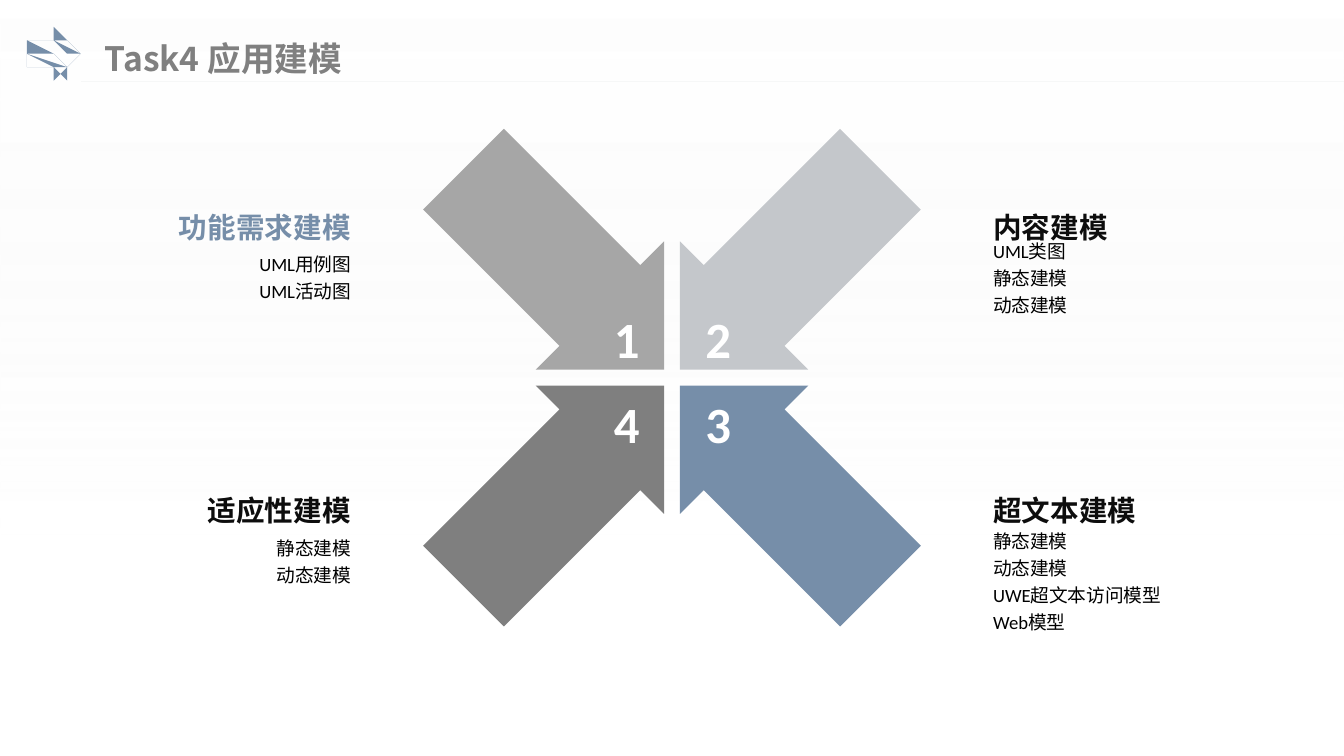
import dataclasses

import lxml.etree
import pptx
import pptx.dml.color
import pptx.enum.shapes
import pptx.enum.text
import pptx.oxml.ns
import pptx.util

COLUMNS = 100
ROWS = 56.25
CELL = pptx.util.Inches(0.1)
COLORS = {
    "blue": "768EA9",
    "silver": "C4C7CB",
    "gray": "A6A6A6",
    "dark": "7F7F7F",
    "title": "808080",
    "ink": "0D0D0D",
    "black": "000000",
    "white": "FFFFFF",
    "mist": "F2F2F2",
}
LEFT = pptx.enum.text.PP_ALIGN.LEFT
RIGHT = pptx.enum.text.PP_ALIGN.RIGHT
TOP = pptx.enum.text.MSO_ANCHOR.TOP
MIDDLE = pptx.enum.text.MSO_ANCHOR.MIDDLE
ASIAN_FONT = "Noto Sans CJK SC"

ICON_CONTOURS = [
    [(2.3, 2.9), (4, 3.2), (4.05, 2.2), (6.2, 4.3), (4.1, 6.1), (4, 5.15), (2.3, 5.4)],
    [(2.5, 3), (3.6, 3.3), (5.7, 4.5), (5.4, 4.8), (3.8, 3.8)],
    [(2.4, 3.55), (4.2, 4.5), (5.1, 5), (5, 5.2)],
    [(4.1, 2.65), (4.9, 3), (5.6, 3.6), (4.1, 2.9)],
    [(2.4, 4.4), (3.6, 5), (3.1, 5.1), (2.4, 4.7)],
    [(4.1, 5.3), (4.5, 5.5), (4.3, 5.8), (4.1, 5.7)],
    [(2.4, 3.9), (4.1, 5), (4.8, 5.3), (4.6, 5.5), (3.8, 4.9), (2.4, 4)],
    [(5.3, 3.9), (6.1, 4.2), (5.9, 4.4)],
    [(4.1, 3.1), (5.7, 3.9), (4.8, 3.5)],
]


@dataclasses.dataclass
class Box:
    column: float
    row: float
    width: float
    height: float


@dataclasses.dataclass
class Style:
    size: float
    color: str
    bold: bool = False
    font: str = "Calibri"
    align: pptx.enum.text.PP_ALIGN = LEFT
    anchor: pptx.enum.text.MSO_ANCHOR = TOP
    wrap: bool = True
    spacing: float = 1.0
    inset_x: float = 0.8
    inset_y: float = 0


@dataclasses.dataclass
class Model:
    number: str
    heading: str
    details: list[str]
    side: int
    level: int
    rotation: int
    arrow_color: str
    heading_color: str
    details_row: float


MODELS = [
    Model("1", "功能需求建模", ["UML用例图", "UML活动图"], -1, -1, 315, "gray", "blue", 18.1),
    Model("2", "内容建模", ["UML类图", "静态建模", "动态建模"], 1, -1, 45, "silver", "ink", 18.1),
    Model("4", "适应性建模", ["静态建模", "动态建模"], -1, 1, 225, "dark", "ink", 39.2),
    Model("3", "超文本建模", ["静态建模", "动态建模", "UWE超文本访问模型", "Web模型"],
          1, 1, 135, "blue", "ink", 40.7),
]


def grid(count: float) -> pptx.util.Emu:
    return pptx.util.Emu(round(count * CELL))


def place(box: Box) -> tuple:
    return tuple(grid(value) for value in dataclasses.astuple(box))


def rgb(name: str) -> pptx.dml.color.RGBColor:
    return pptx.dml.color.RGBColor.from_string(COLORS[name])


def paint(shape, color: str) -> None:
    shape.shadow.inherit = False
    shape.fill.solid()
    shape.fill.fore_color.rgb = rgb(color)
    shape.line.fill.background()


def add_text(slide, box: Box, lines: list[str], style: Style) -> None:
    frame = slide.shapes.add_textbox(*place(box)).text_frame
    frame.word_wrap = style.wrap
    frame.vertical_anchor = style.anchor
    frame.margin_left = frame.margin_right = grid(style.inset_x)
    frame.margin_top = frame.margin_bottom = grid(style.inset_y)
    frame.text = "\n".join(lines)
    for paragraph in frame.paragraphs:
        paragraph.alignment = style.align
        paragraph.line_spacing = style.spacing
        paragraph.font.size = pptx.util.Pt(style.size)
        paragraph.font.bold = style.bold
        paragraph.font.name = style.font
        paragraph.font.color.rgb = rgb(style.color)
        properties = paragraph.font._element
        asian = lxml.etree.SubElement(properties, pptx.oxml.ns.qn("a:ea"))
        asian.set("typeface", ASIAN_FONT)


def add_backdrop(slide) -> None:
    shape = slide.shapes.add_shape(
        pptx.enum.shapes.MSO_SHAPE.RECTANGLE, *place(Box(0, 0, COLUMNS, ROWS)))
    paint(shape, "white")
    shape.fill.gradient()
    shape.fill.gradient_angle = 270
    stops = [("white", 0, 55000), ("mist", 0.71, 0)]
    for stop, (color, position, opacity) in zip(shape.fill.gradient_stops, stops):
        stop.color.rgb = rgb(color)
        stop.position = position
        alpha = lxml.etree.SubElement(stop._gs[0], pptx.oxml.ns.qn("a:alpha"))
        alpha.set("val", str(opacity))


def add_outline(slide, contours: list, color: str) -> None:
    first, *others = contours
    builder = slide.shapes.build_freeform(*first[0], scale=float(CELL))
    builder.add_line_segments(first[1:], close=True)
    for contour in others:
        builder.move_to(*contour[0])
        builder.add_line_segments(contour[1:], close=True)
    paint(builder.convert_to_shape(), color)


def add_model(slide, model: Model) -> None:
    column = 6.7 if model.side < 0 else 73.1
    align = RIGHT if model.side < 0 else LEFT
    heading_row = 15.6 if model.level < 0 else 36.7
    add_text(slide, Box(column, model.details_row, 20.2, 4.8), model.details,
             Style(10, "black", align=align, anchor=MIDDLE, spacing=1.2))
    add_text(slide, Box(column, heading_row, 20.2, 2), [model.heading],
             Style(15.3, model.heading_color, bold=True, align=align, wrap=False))

    width, height = 13.5, 21.1
    arrow = slide.shapes.add_shape(
        pptx.enum.shapes.MSO_SHAPE.DOWN_ARROW,
        *place(Box(50 + 8.05 * model.side - width / 2,
                   28.1 + 8.05 * model.level - height / 2, width, height)))
    arrow.adjustments[0] = 0.63
    arrow.adjustments[1] = 0.5
    arrow.rotation = model.rotation
    paint(arrow, model.arrow_color)

    add_text(slide, Box(48.1 + 3.4 * model.side, 25.55 + 3.15 * model.level, 3.4, 4.8),
             [model.number],
             Style(27.2, "white", bold=True, wrap=False, inset_x=1, inset_y=0.5))


def main() -> None:
    presentation = pptx.Presentation()
    presentation.slide_width = grid(COLUMNS)
    presentation.slide_height = grid(ROWS)
    slide = presentation.slides.add_slide(presentation.slide_layouts[6])
    add_backdrop(slide)
    add_outline(slide, [[(5.7, 6.1), (COLUMNS, 6.1), (COLUMNS, 6.3), (5.8, 6.3)]], "silver")
    add_outline(slide, ICON_CONTOURS, "blue")
    for model in MODELS:
        add_model(slide, model)
    add_text(slide, Box(7.8, 2.2, 23.3, 4.2), ["Task4 应用建模"],
             Style(18, "title", bold=True, font=ASIAN_FONT, anchor=MIDDLE,
                   inset_x=0, inset_y=0.5))
    presentation.save("out.pptx")


if __name__ == "__main__":
    main()
